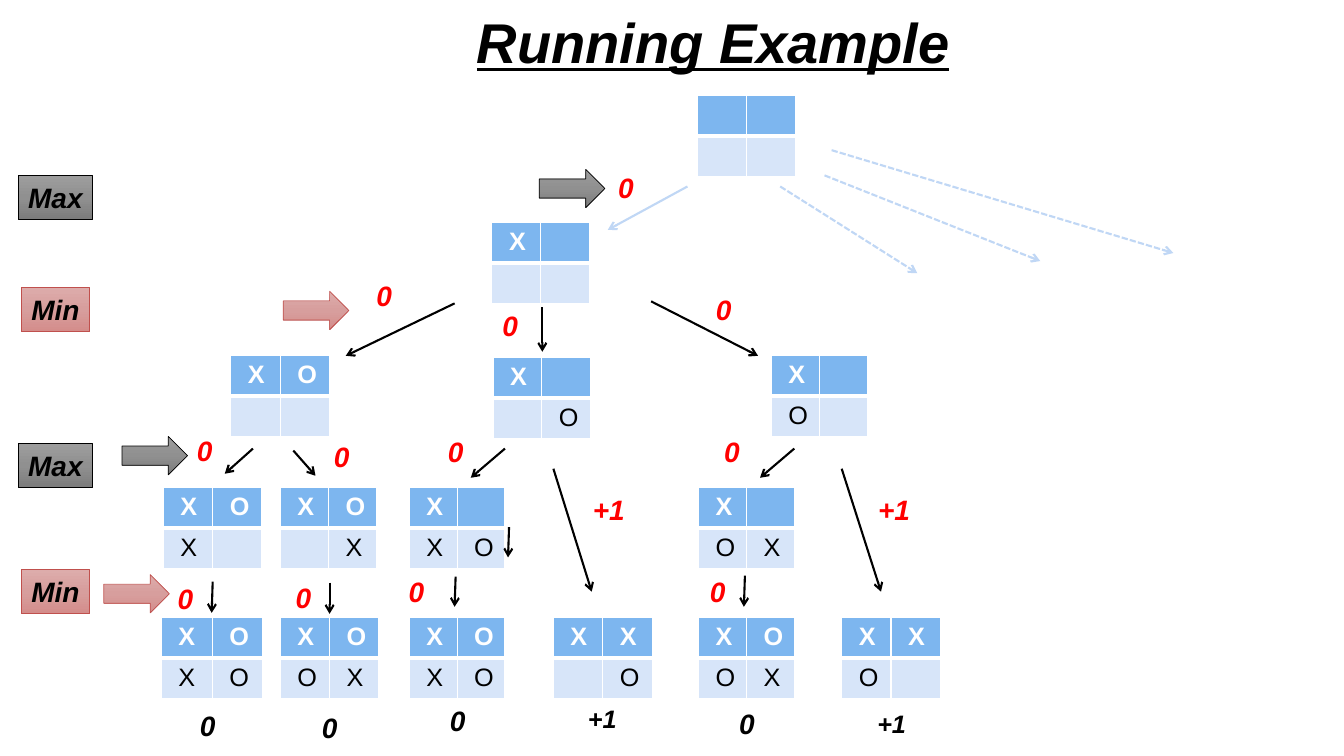
from copy import deepcopy
from dataclasses import dataclass

from pptx import Presentation, util as u
from pptx.dml.color import RGBColor
from pptx.enum import dml, shapes, text
from pptx.oxml import xmlchemy as x


@dataclass(frozen=True)
class Theme:
    font: str = "Arial"
    black: str = "000000"
    white: str = "FFFFFF"
    red: str = "FF0000"
    head: str = "7DB6EF"
    body: str = "D7E5F9"
    pale: str = "C0D7F5"
    max: tuple = ("9D9D9D", "909090", "7C7C7C", "000000")
    min: tuple = ("DDACAB", "D79E9D", "D48D8B", "C0504D")
    title: int = 40
    label: int = 20
    small: int = 18


def rgb(color):
    return RGBColor.from_string(color)


def sub(parent, tag, **attrs):
    """Appends a new XML child and returns it."""
    child = x.OxmlElement(tag)
    for key, val in attrs.items():
        child.set(key, str(val))
    parent.append(child)
    return child


class Tree:
    """Draws a game tree on one slide, on a grid of COLS by ROWS."""

    COLS, ROWS = 133.33, 75

    def __init__(self, deck, theme):
        self.theme = theme
        self.col = deck.slide_width / self.COLS
        self.row = deck.slide_height / self.ROWS
        self.slide = deck.slides.add_slide(deck.slide_layouts[5])
        self.shapes = self.slide.shapes

    def grid(self, *vals):
        """Turns alternating column and row counts into lengths."""
        return [u.Emu(round(v * (self.row if i % 2 else self.col)))
                for i, v in enumerate(vals)]

    def add_run(self, frame, words, size, color, bold=True, italic=True):
        para = frame.paragraphs[0]
        run = para.add_run()
        run.text = words
        font = run.font
        font.name, font.size = self.theme.font, u.Pt(size)
        font.bold, font.italic = bold, italic
        font.color.rgb = rgb(color)
        return para, font

    def label(self, frame, words, size, color, wrap=True):
        frame.word_wrap = wrap
        frame.auto_size = text.MSO_AUTO_SIZE.SHAPE_TO_FIT_TEXT
        para, font = self.add_run(frame, words, size, color)
        para.alignment = text.PP_ALIGN.CENTER
        return font

    def title(self, words, *box):
        shape = self.shapes.title
        shape.left, shape.top, shape.width, shape.height = self.grid(*box)
        font = self.label(shape.text_frame, words, self.theme.title,
                          self.theme.black, wrap=False)
        font.underline = True

    def score(self, words, left, top, color, size=None, wide=5.2, high=4.4):
        box = self.shapes.add_textbox(*self.grid(left, top, wide, high))
        self.label(box.text_frame, words, size or self.theme.label, color)

    def edge(self, cell, head):
        """Gives a cell white borders, thick below the head row."""
        props = cell._tc.get_or_add_tcPr()
        for i, side in enumerate(("lnL", "lnR", "lnT", "lnB")):
            points = 3 if head and side == "lnB" else 1
            line = x.OxmlElement("a:" + side)
            line.set("w", str(u.Pt(points)))
            sub(sub(line, "a:solidFill"), "a:srgbClr", val=self.theme.white)
            props.insert(i, line)

    def board(self, left, top, wide, marks):
        """Draws a 2 by 2 board; marks run row by row, a dot is empty."""
        t = self.theme
        table = self.shapes.add_table(
            2, 2, *self.grid(left, top, wide, 8)).table
        for i, mark in enumerate(marks):
            head = i < 2
            cell = table.cell(i // 2, i % 2)
            cell.margin_left, cell.margin_right = u.Inches(0.17), u.Inches(0.05)
            cell.fill.solid()
            cell.fill.fore_color.rgb = rgb(t.head if head else t.body)
            self.edge(cell, head)
            if mark != ".":
                self.add_run(cell.text_frame, mark, t.small,
                             t.white if head else t.black, head, False)

    def arrow(self, ends, color, dash=False):
        link = self.shapes.add_connector(
            shapes.MSO_CONNECTOR.STRAIGHT, *self.grid(*ends))
        line = link.line
        line.width = u.Pt(1.5)
        line.color.rgb = rgb(color)
        if dash:
            line.dash_style = dml.MSO_LINE.SQUARE_DOT
        sub(line._get_or_add_ln(), "a:tailEnd", type="arrow")
        sub(link._element.spPr, "a:effectLst")

    def block(self, kind, box, tones, words=None):
        """Draws a shape shaded from top to bottom, with optional words."""
        shape = self.shapes.add_shape(kind, *self.grid(*box))
        shape.shadow.inherit = False
        shape.fill.gradient()
        shape.fill.gradient_angle = 270
        stops = shape._element.spPr.eg_fillProperties.gsLst
        stops.insert(1, deepcopy(stops[0]))
        *shades, edge = tones
        for i, (stop, tone) in enumerate(zip(shape.fill.gradient_stops, shades)):
            stop.position = i / 2
            stop.color.rgb = rgb(tone)
        shape.line.color.rgb = rgb(edge)
        shape.line.width = u.Pt(0.5)
        if words:
            self.label(shape.text_frame, words, self.theme.label,
                       self.theme.black, wrap=False)


BOARDS = [
    (69.2, 9.5, 9.7, "...."),
    (48.8, 22.1, 9.7, "X..."),
    (22.9, 35.3, 9.8, "XO.."), (48.9, 35.5, 9.7, "X..O"),
    (76.5, 35.3, 9.6, "X.O."),
    (16.2, 48.4, 9.8, "XOX."), (27.8, 48.4, 9.6, "XO.X"),
    (40.6, 48.4, 9.5, "X.XO"), (69.3, 48.4, 9.5, "X.OX"),
    (16, 61.3, 10.1, "XOXO"), (27.8, 61.3, 9.8, "XOOX"),
    (40.6, 61.3, 9.5, "XOXO"), (54.9, 61.3, 9.8, "XX.O"),
    (69.3, 61.3, 9.5, "XOOX"), (83.5, 61.3, 9.8, "XXO."),
]
MOVES = [
    (53.8, 30.5, 53.8, 34.9), (45.1, 30.1, 34.3, 35.3),
    (64.6, 29.9, 75.2, 35.3), (50.1, 44.5, 46.7, 47.4),
    (25.1, 44.5, 22.3, 47), (29.1, 44.7, 31.3, 47.2),
    (45.2, 57.2, 45.1, 60.2), (54.9, 46.5, 58.7, 58.7),
    (78.8, 44.5, 75.4, 47.4), (73.9, 57.1, 73.8, 60.2),
    (83.5, 46.5, 87.4, 58.7), (32.7, 57.8, 32.7, 60.9),
    (21.1, 57.7, 21, 60.8), (50.5, 52.3, 50.4, 55.3),
]
SKIPPED = [(77.4, 18.5, 91, 27.1), (81.8, 17.4, 103.2, 25.9),
           (82.5, 14.9, 116.4, 25.1)]
ZEROS = [
    (59.5, 16.4), (35.5, 27.1), (48, 30.1), (69.2, 28.5),
    (17.7, 42.5), (31.3, 43.1), (42.6, 42.6), (70, 42.6),
    (15.8, 57.2), (27.5, 57.1), (38.7, 56.5), (68.6, 56.5),
]
WINS = [(57.8, 48.4), (86.1, 48.4)]
END_ZEROS = [(18, 69.8), (30.1, 70), (42.8, 69.3), (71.5, 69.6)]
END_WINS = [(56.5, 69.3), (85.2, 69.8)]
# Label top, then pointer left and top, for each level
LEVELS = [(17.4, 53.5, 16.8), (28.5, 28.1, 28.9),
          (44, 12.1, 43.3), (56.5, 10.3, 57)]


def main():
    deck = Presentation()
    deck.slide_width, deck.slide_height = u.Inches(13.33), u.Inches(7.5)
    theme = Theme()
    tree = Tree(deck, theme)
    tree.title("Running Example", 46.3, 0.2, 48.9, 7.7)
    for board in BOARDS:
        tree.board(*board)
    for ends in MOVES:
        tree.arrow(ends, theme.black)
    tree.arrow((68.2, 18.5, 60.3, 22.8), theme.pale)
    for ends in SKIPPED:
        tree.arrow(ends, theme.pale, dash=True)
    for words, spots, color in (("0", ZEROS, theme.red), ("+1", WINS, theme.red),
                                ("0", END_ZEROS, theme.black)):
        for spot in spots:
            tree.score(words, *spot, color)
    for spot in END_WINS:
        tree.score("+1", *spot, theme.black, theme.small, 6.5, 4)
    kind = shapes.MSO_SHAPE
    for i, (top, left, tip) in enumerate(LEVELS):
        words, tones, side, wide = (("Min", theme.min, 2.1, 6.8) if i % 2 else
                                    ("Max", theme.max, 1.8, 7.4))
        tree.block(kind.RECTANGLE, (side, top, wide, 4.4), tones, words)
        tree.block(kind.RIGHT_ARROW, (left, tip, 6.5, 3.8), tones)
    deck.save("out.pptx")


if __name__ == "__main__":
    main()
